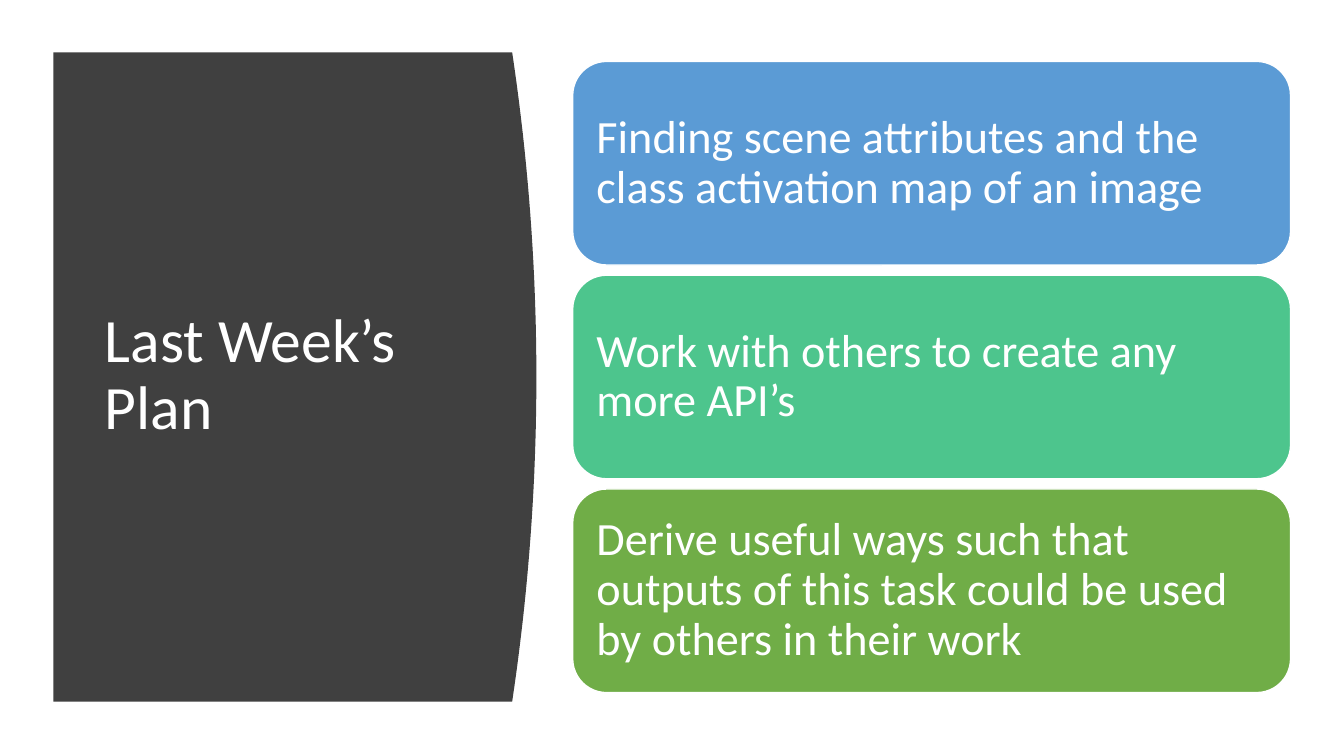
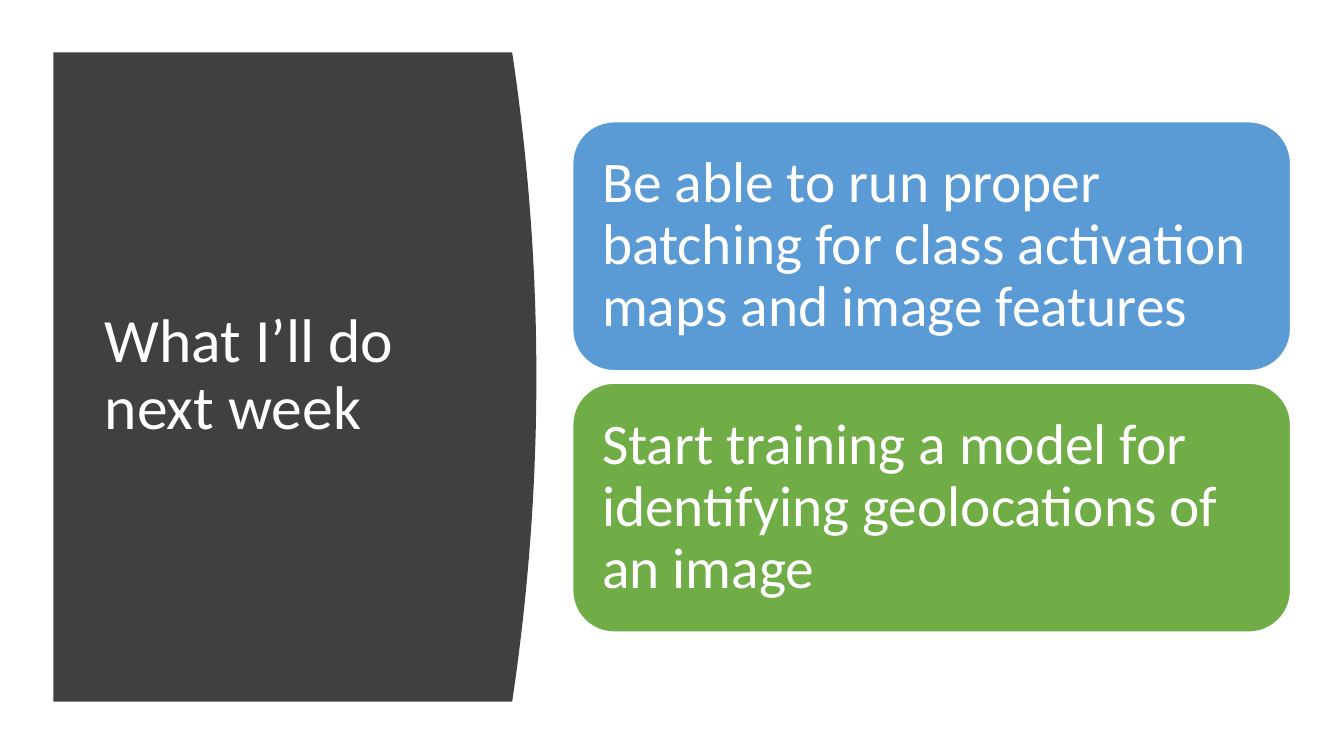
import dataclasses

import pptx
import pptx.dml.color
import pptx.enum.shapes
import pptx.enum.text
import pptx.util
from pptx.util import Inches


@dataclasses.dataclass(frozen=True)
class Theme:
    font: str = "Calibri"
    white: str = "FFFFFF"
    panel: str = "404040"
    blue: str = "5B9BD5"
    teal: str = "4DC58D"
    green: str = "70AD47"
    title_size: int = 44
    line_spacing: float = 0.9
    outline: int = 1


THEME = Theme()


def rgb(code):
    return pptx.dml.color.RGBColor.from_string(code)


class PlanDeck:
    """Holds the presentation, its theme and the slide being built."""

    def __init__(self, theme):
        self.theme = theme
        self.deck = pptx.Presentation()
        self.deck.slide_width = Inches(13.33)
        self.deck.slide_height = Inches(7.5)
        self.page = None

    def add_page(self, title, cards, card_height, text_size):
        self.page = self.deck.slides.add_slide(self.deck.slide_layouts[5])
        self.add_title(title)
        self.add_panel()
        self.add_cards(cards, card_height, text_size)

    def set_text(self, box, text, size):
        """Fill a box with left-aligned, vertically centred white text."""
        frame = box.text_frame
        frame.text = text
        frame.word_wrap = True
        frame.auto_size = pptx.enum.text.MSO_AUTO_SIZE.NONE
        frame.vertical_anchor = pptx.enum.text.MSO_ANCHOR.MIDDLE
        para = frame.paragraphs[0]
        para.alignment = pptx.enum.text.PP_ALIGN.LEFT
        para.line_spacing = self.theme.line_spacing
        for span in para.runs:
            span.font.name = self.theme.font
            span.font.size = pptx.util.Pt(size)
            span.font.color.rgb = rgb(self.theme.white)

    def add_title(self, text):
        title = self.page.shapes.title
        title.left, title.top = Inches(0.94), Inches(1.11)
        title.width, title.height = Inches(3.74), Inches(5.24)
        self.set_text(title, text, self.theme.title_size)

    def add_panel(self):
        """Draw the dark panel with a bulging right edge behind the title."""
        left, top, bottom = 0.53, 0.52, 6.96
        edge, bulge, steps = 5.08, 0.24, 40
        points = []
        for step in range(steps + 1):
            part = step / steps
            x = edge + bulge * (1 - (2 * part - 1) ** 2)
            y = top + (bottom - top) * part
            points.append((Inches(x), Inches(y)))
        points.append((Inches(left), Inches(bottom)))
        outline = self.page.shapes.build_freeform(Inches(left), Inches(top))
        outline.add_line_segments(points, close=True)
        panel = outline.convert_to_shape()
        panel.shadow.inherit = False
        panel.fill.solid()
        panel.fill.fore_color.rgb = rgb(self.theme.panel)
        panel.line.fill.background()
        self.page.shapes.title.element.addprevious(panel.element)

    def add_cards(self, cards, height, text_size):
        """Stack equal cards, centred as a group, with gaps in proportion."""
        middle, gap = 3.74, 0.05 * height
        pitch = height + gap
        top = middle - (len(cards) * pitch - gap) / 2
        for index, (text, color) in enumerate(cards):
            self.add_card(text, color, top + index * pitch, height, text_size)

    def add_card(self, text, color, top, height, text_size):
        card = self.page.shapes.add_shape(
            pptx.enum.shapes.MSO_SHAPE.ROUNDED_RECTANGLE,
            Inches(5.68), Inches(top), Inches(7.12), Inches(height))
        card.shadow.inherit = False
        card.fill.solid()
        card.fill.fore_color.rgb = rgb(color)
        card.line.color.rgb = rgb(self.theme.white)
        card.line.width = pptx.util.Pt(self.theme.outline)
        frame = card.text_frame
        margin = pptx.util.Pt(0.3 * text_size)
        frame.margin_left = frame.margin_right = margin
        frame.margin_top = frame.margin_bottom = margin
        self.set_text(card, text, text_size)


def main():
    plan = PlanDeck(THEME)
    plan.add_page("Last Week’s Plan", [
        ("Finding scene attributes and the class activation map of an image",
         THEME.blue),
        ("Work with others to create any more API’s", THEME.teal),
        ("Derive useful ways such that outputs of this task could be used "
         "by others in their work", THEME.green),
    ], card_height=2.02, text_size=33)
    plan.add_page("What I’ll do next week", [
        ("Be able to run proper batching for class activation maps and "
         "image features", THEME.blue),
        ("Start training a model for identifying geolocations of an image",
         THEME.green),
    ], card_height=2.47, text_size=41)
    plan.deck.save("out.pptx")


if __name__ == "__main__":
    main()
